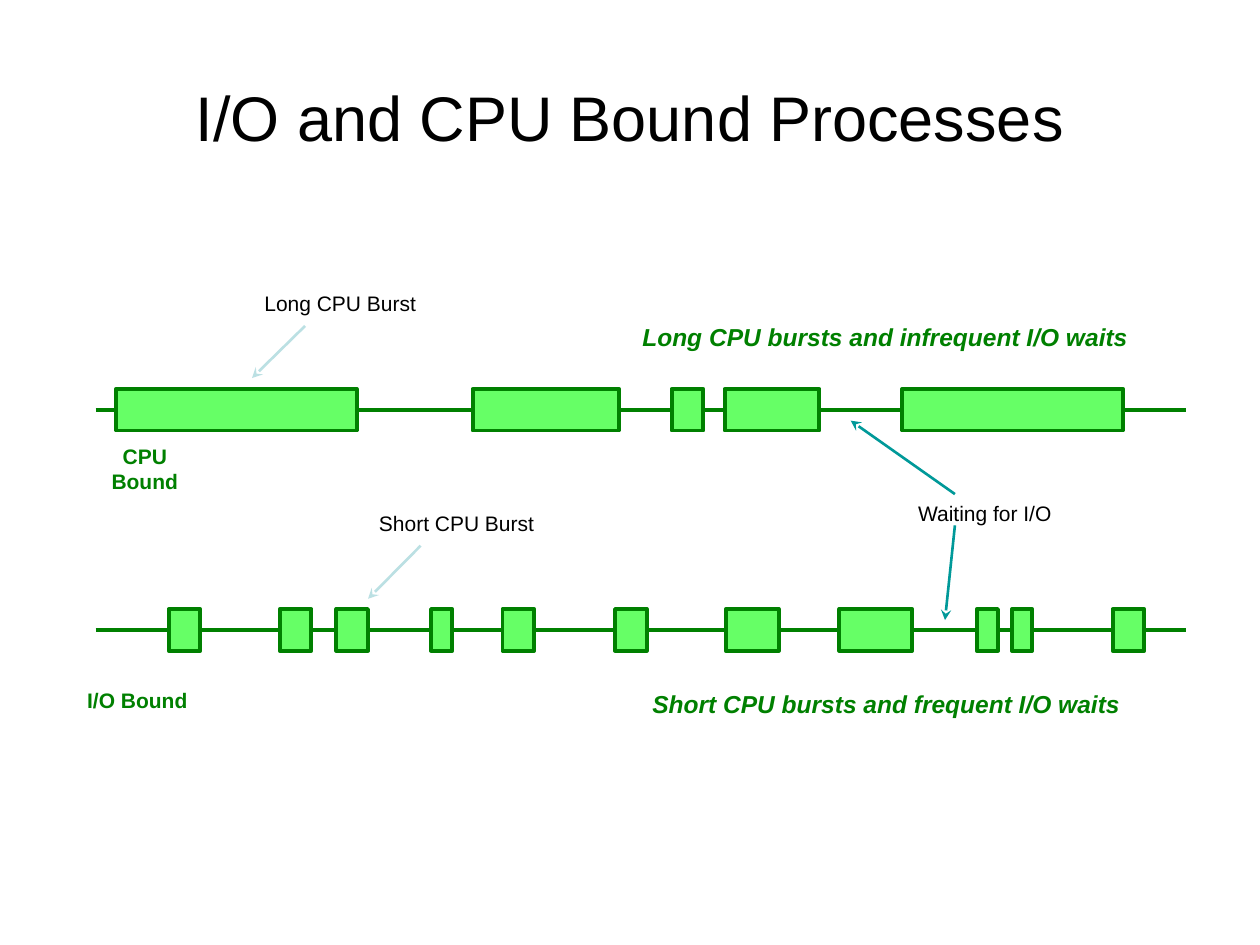
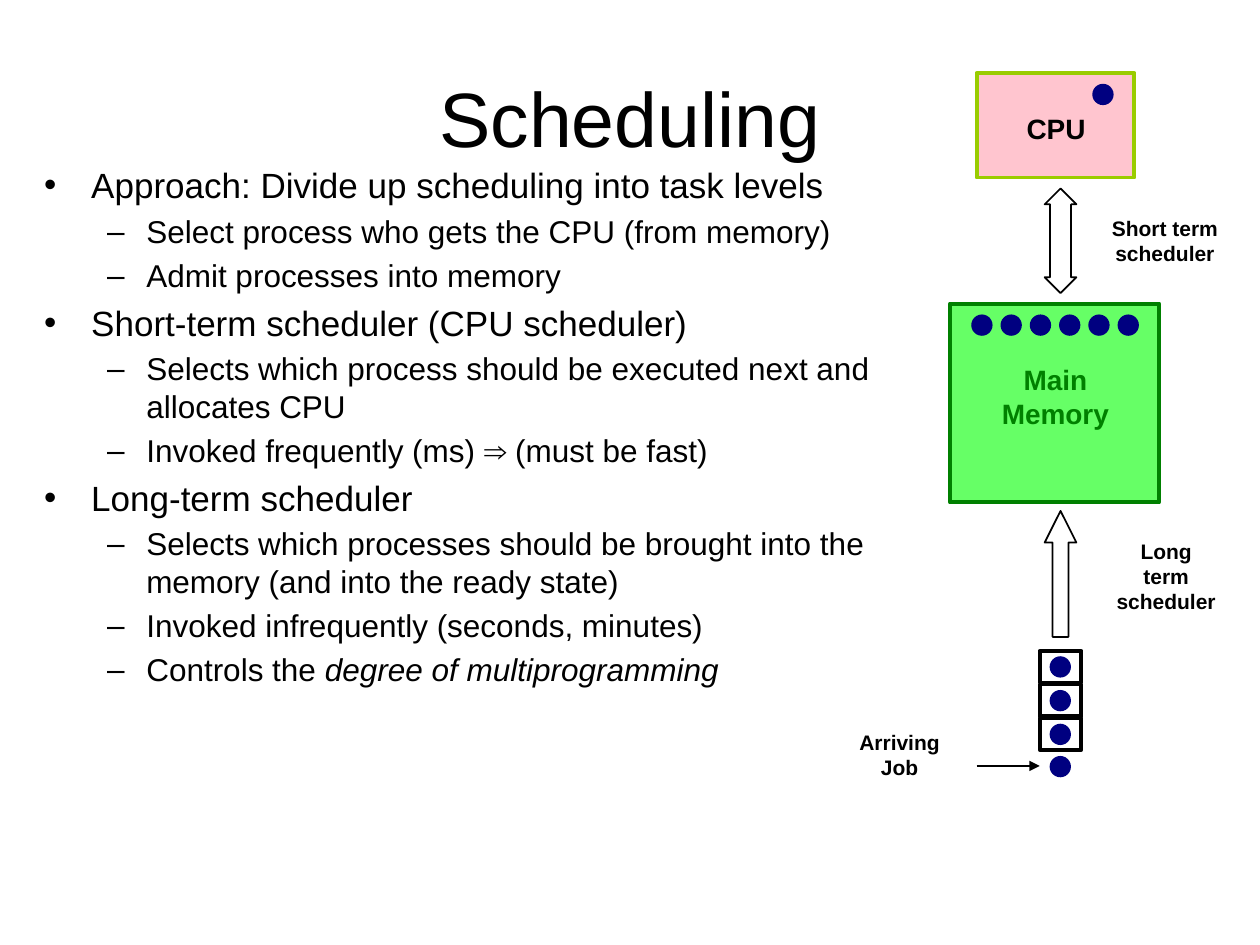
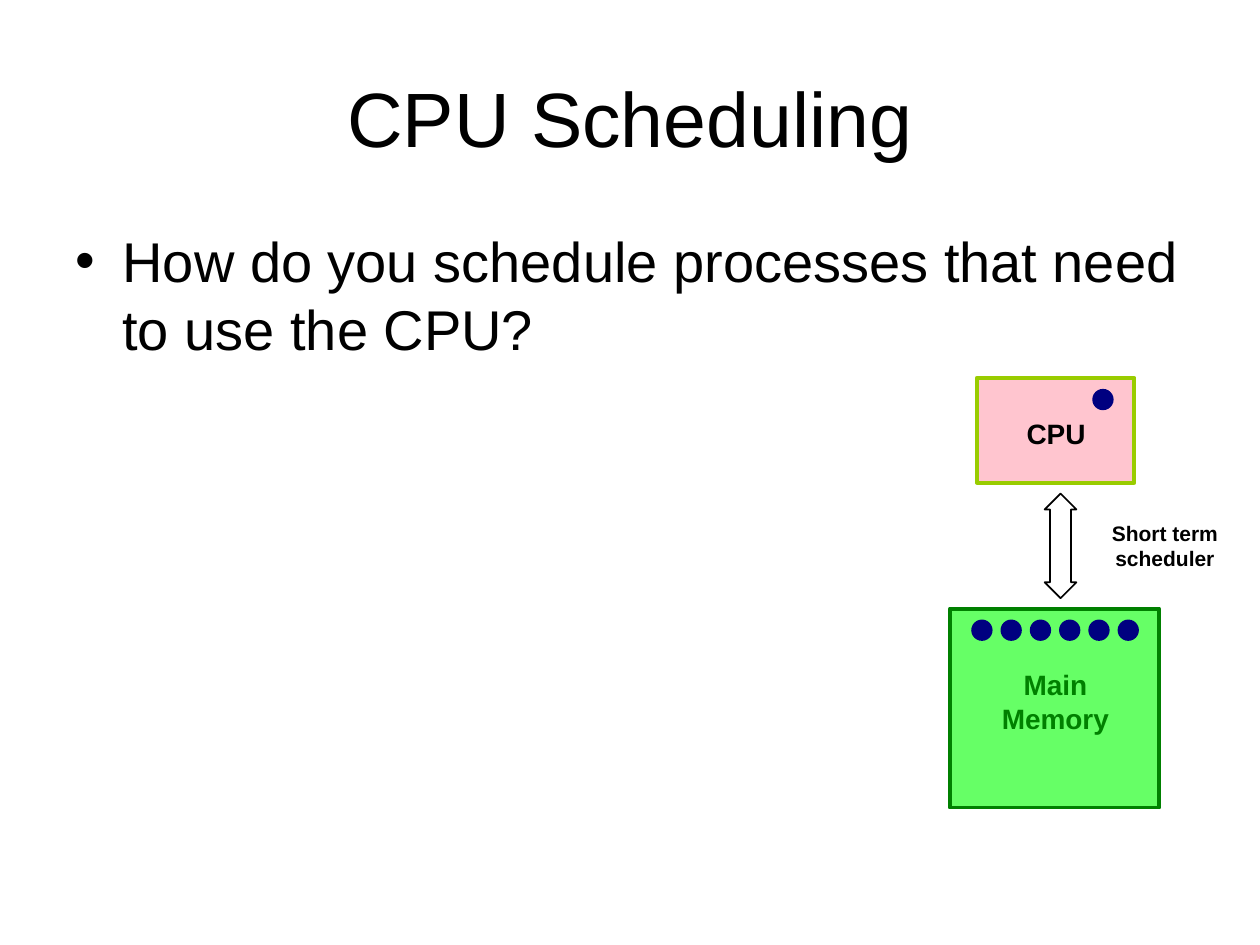
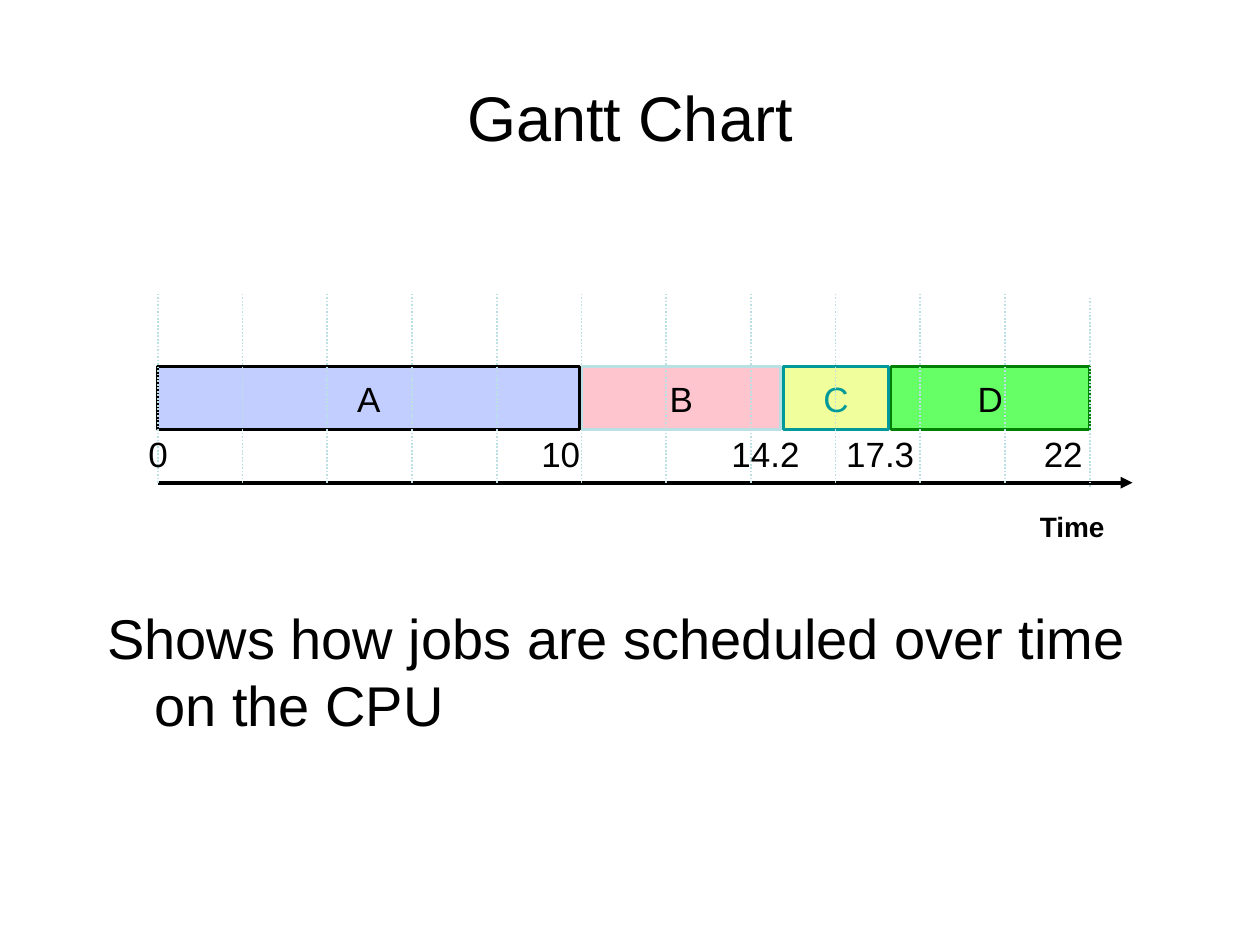
"""Build four slides on CPU scheduling."""
import lxml.etree
import pptx
import pptx.dml.color
import pptx.enum.dml
import pptx.enum.shapes
import pptx.enum.text
import pptx.oxml.ns
import pptx.util

Cm = pptx.util.Cm
Pt = pptx.util.Pt
SHAPE = pptx.enum.shapes.MSO_SHAPE
ALIGN = pptx.enum.text.PP_ALIGN
ANCHOR = pptx.enum.text.MSO_ANCHOR
FONT = "Arial"
DOT = 0.43
COLORS = {
    "black": "000000", "green": "008000", "lime": "66FF66", "pale": "BBE0E3",
    "teal": "009999", "pink": "FFC5CF", "olive": "99CC00", "navy": "000080",
    "blue": "C1CEFF", "yellow": "F0FF9B",
}


def color(name):
    """Look up a colour by name."""
    return pptx.dml.color.RGBColor.from_string(COLORS[name])


def style(para, size, hue="black", bold=False, slant=None):
    """Set the font of a paragraph."""
    font = para.font
    font.name, font.size, font.bold = FONT, Pt(size), bold
    font.italic = slant
    font.color.rgb = color(hue)


def write(frame, text, size, hue="black", bold=False, slant=None,
          align=ALIGN.CENTER, anchor=ANCHOR.BOTTOM, wrap=True):
    """Fill a text frame, one paragraph a line."""
    frame.word_wrap = wrap
    frame.vertical_anchor = anchor
    for i, line in enumerate(text.split("\n")):
        para = frame.add_paragraph() if i else frame.paragraphs[0]
        para.text = line
        para.alignment = align
        style(para, size, hue, bold, slant)


def label(slide, x, y, w, h, text, size=12, **look):
    """Add a text box."""
    box = slide.shapes.add_textbox(Cm(x), Cm(y), Cm(w), Cm(h))
    write(box.text_frame, text, size, **look)


def shape(slide, kind, x, y, w, h, fill=None, edge=None, width=2.25):
    """Add a preset shape."""
    item = slide.shapes.add_shape(kind, Cm(x), Cm(y), Cm(w), Cm(h))
    item.shadow.inherit = False
    if fill:
        item.fill.solid()
        item.fill.fore_color.rgb = color(fill)
    else:
        item.fill.background()
    if edge:
        item.line.color.rgb = color(edge)
        item.line.width = Pt(width)
    else:
        item.line.fill.background()
    return item


def dot(slide, x, y):
    """Add a dot that stands for one job."""
    shape(slide, SHAPE.OVAL, x, y, DOT, DOT, "navy")


def arrow(slide, kind, x, y, w, h, head):
    """Add a block arrow with a given head length."""
    item = shape(slide, kind, x, y, w, h, edge="black", width=1)
    item.adjustments[0] = 0.5
    item.adjustments[1] = head


def line(slide, start, end, hue, width, tip=None, dash=None):
    """Add a straight line, with an arrowhead at its end if asked."""
    kind = pptx.enum.shapes.MSO_CONNECTOR.STRAIGHT
    item = slide.shapes.add_connector(kind, *map(Cm, start + end))
    item.line.color.rgb = color(hue)
    item.line.width = Pt(width)
    if dash:
        item.line.dash_style = dash
    qn = pptx.oxml.ns.qn
    props = item._element.spPr
    if tip:
        lxml.etree.SubElement(props.find(qn("a:ln")), qn("a:tailEnd"), type=tip)
    lxml.etree.SubElement(props, qn("a:effectLst"))


def body(slide, x, y, w, h, items, sizes):
    """Add a list of (level, text, italic ending) items."""
    frame = slide.shapes.add_textbox(Cm(x), Cm(y), Cm(w), Cm(h)).text_frame
    frame.word_wrap = True
    for i, (level, text, ending) in enumerate(items):
        para = frame.add_paragraph() if i else frame.paragraphs[0]
        para.add_run().text = text
        if ending:
            run = para.add_run()
            run.text = ending
            run.font.italic = True
        size = sizes[level or 0]
        if i:
            para.space_before = Pt(size * 0.2)
        indent(para, level)
        style(para, size)


def indent(para, level):
    """Set hanging indent and bullet; a level of None has no bullet."""
    left, hang, mark = ((0.95, 0.95, "•"), (2.06, 0.79, "–"))[level or 0]
    props = para._p.get_or_add_pPr()
    props.set("marL", str(Cm(left)))
    props.set("indent", str(-Cm(hang)))
    qn = pptx.oxml.ns.qn
    if level is None:
        lxml.etree.SubElement(props, qn("a:buNone"))
    else:
        lxml.etree.SubElement(props, qn("a:buFont"), typeface=FONT)
        lxml.etree.SubElement(props, qn("a:buChar"), char=mark)


def start(deck, title, size):
    """Add a blank slide with its title."""
    slide = deck.slides.add_slide(deck.slide_layouts[6])
    label(slide, 1.27, 0.76, 22.86, 3.18, title, size, anchor=ANCHOR.MIDDLE)
    return slide


def track(slide, y, bursts):
    """Draw a time line with its CPU bursts."""
    line(slide, (1.93, y), (23.9, y), "green", 2.25)
    for x, w in bursts:
        shape(slide, SHAPE.RECTANGLE, x, y - 0.42, w, 0.84, "lime", "green")


def machine(slide, top):
    """Draw CPU, short term scheduler and main memory."""
    shape(slide, SHAPE.RECTANGLE, 19.69, top, 3.18, 2.11, "pink", "olive")
    label(slide, 20.12, top + 0.64, 2.34, 0.94, "CPU", 16, bold=True)
    dot(slide, 22.02, top + 0.22)
    shape(slide, SHAPE.RECTANGLE, 19.15, top + 4.65, 4.22, 4.01, "lime", "green")
    label(slide, 19.79, top + 5.72, 2.97, 1.6, "Main Memory", 16,
          hue="green", bold=True)
    for i in range(6):
        dot(slide, 19.58 + 0.59 * i, top + 4.87)
    arrow(slide, SHAPE.UP_DOWN_ARROW, 21.06, top + 2.33, 0.64, 2.11, 0.665)
    label(slide, 22.1, top + 2.74, 2.77, 1.27, "Short term\nscheduler",
          bold=True, wrap=False)


def bound(deck):
    """Compare I/O bound and CPU bound processes."""
    slide = start(deck, "I/O and CPU Bound Processes", 36)
    track(slide, 8.26, ((2.34, 4.85), (9.53, 2.95), (13.54, 0.64),
                        (14.61, 1.91), (18.19, 4.45)))
    track(slide, 12.7, ((3.4, 0.64), (5.64, 0.64), (6.78, 0.64), (8.69, 0.43),
                        (10.13, 0.64), (12.4, 0.64), (14.63, 1.07),
                        (16.92, 1.47), (19.69, 0.43), (20.4, 0.41),
                        (22.43, 0.64)))
    for y, w, text in ((9.32, 2.84, "CPU Bound"), (13.74, 2.54, "I/O Bound")):
        label(slide, 1.5, y, w, 0.76, text, hue="green", bold=True, wrap=False)
    for x, y, w, text in ((5.08, 5.74, 3.56, "Long CPU Burst"),
                          (7.39, 10.16, 3.63, "Short CPU Burst"),
                          (18.24, 9.96, 3.23, "Waiting for I/O")):
        label(slide, x, y, w, 0.76, text, wrap=False)
    for tail, tip, hue in (((6.15, 6.57), (5.08, 7.62), "pale"),
                           ((8.48, 11), (7.42, 12.07), "pale"),
                           ((19.25, 10.59), (19.05, 12.5), "teal"),
                           ((19.25, 9.96), (17.15, 8.48), "teal")):
        line(slide, tail, tip, hue, 1.5, "stealth")
    for x, y, text in ((12.7, 6.38, "Long CPU bursts and infrequent I/O waits"),
                       (12.9, 13.77, "Short CPU bursts and frequent I/O waits")):
        label(slide, x, y, 11, 0.84, text, 14, hue="green", bold=True,
              slant=True, align=ALIGN.LEFT)


def levels(deck):
    """Show the scheduling levels."""
    slide = start(deck, "Scheduling", 44)
    body(slide, 0.64, 3.18, 17.78, 14.17, (
        (0, "Approach: Divide up scheduling into task levels", ""),
        (1, "Select process who gets the CPU (from memory)", ""),
        (1, "Admit processes into memory", ""),
        (0, "Short-term scheduler (CPU scheduler)", ""),
        (1, "Selects which process should be executed next and allocates CPU", ""),
        (1, "Invoked frequently (ms) ⇒ (must be fast)", ""),
        (0, "Long-term scheduler", ""),
        (1, "Selects which processes should be brought into the memory "
            "(and into the ready state)", ""),
        (1, "Invoked infrequently (seconds, minutes)", ""),
        (1, "Controls the ", "degree of multiprogramming"),
    ), (20, 18))
    machine(slide, 1.47)
    for i in range(3):
        y = 13.01 + 0.68 * i
        shape(slide, SHAPE.RECTANGLE, 20.96, y + 0.11, 0.84, 0.64, edge="black")
        dot(slide, 21.16, y + 0.22)
    dot(slide, 21.16, 15.24)
    arrow(slide, SHAPE.UP_ARROW, 21.06, 10.3, 0.64, 2.54, 0.998)
    label(slide, 16.74, 15.09, 2.79, 0.76, "Arriving Job", bold=True)
    line(slide, (19.69, 15.44), (20.96, 15.44), "black", 0.75, "triangle")
    label(slide, 22.24, 11.23, 2.54, 1.27, "Long term\nscheduler", bold=True)


def question(deck):
    """Ask how to schedule the CPU."""
    slide = start(deck, "CPU Scheduling", 44)
    text = "How do you schedule processes that need to use the CPU?"
    body(slide, 1.27, 4.45, 22.86, 12.57, ((0, text, ""),), (32,))
    machine(slide, 7.62)


def gantt(deck):
    """Draw a Gantt chart of four jobs."""
    slide = start(deck, "Gantt Chart", 36)
    text = "Shows how jobs are scheduled over time on the CPU"
    body(slide, 1.91, 12.04, 22.4, 3.61, ((None, text, ""),), (32,))
    for name, x, w, fill, edge, ink in (
            ("A", 3.18, 8.51, "blue", "black", "black"),
            ("B", 11.73, 4.01, "pink", "pale", "black"),
            ("C", 15.8, 2.11, "yellow", "teal", "teal"),
            ("D", 17.96, 4.01, "lime", "green", "black")):
        bar = shape(slide, SHAPE.RECTANGLE, x, 7.39, w, 1.27, fill, edge, 1.5)
        write(bar.text_frame, name, 20, ink, anchor=ANCHOR.MIDDLE, wrap=False)
    line(slide, (3.18, 9.73), (22.83, 9.73), "black", 2.25, "triangle")
    label(slide, 20.7, 10.13, 1.83, 0.94, "Time", 16, bold=True)
    first, last, count = 3.18, 21.97, 11
    for i in range(count + 1):
        x = first + (last - first) * i / count
        y = 6 if i == count else 5.92
        line(slide, (x, y), (x, y + 3.81), "pale", 1,
             dash=pptx.enum.dml.MSO_LINE.ROUND_DOT)
    for x, w, text in ((2.74, 0.89, "0"), (10.57, 1.47, "10"),
                       (14.38, 2.11, "14.2"), (16.69, 2.11, "17.3"),
                       (20.7, 1.47, "22")):
        label(slide, x, 8.61, w, 1.09, text, 20, wrap=False)


def main():
    """Build and save the deck."""
    deck = pptx.Presentation()
    deck.slide_width, deck.slide_height = Cm(25.4), Cm(19.05)
    for build in (bound, levels, question, gantt):
        build(deck)
    deck.save("out.pptx")


if __name__ == "__main__":
    main()
